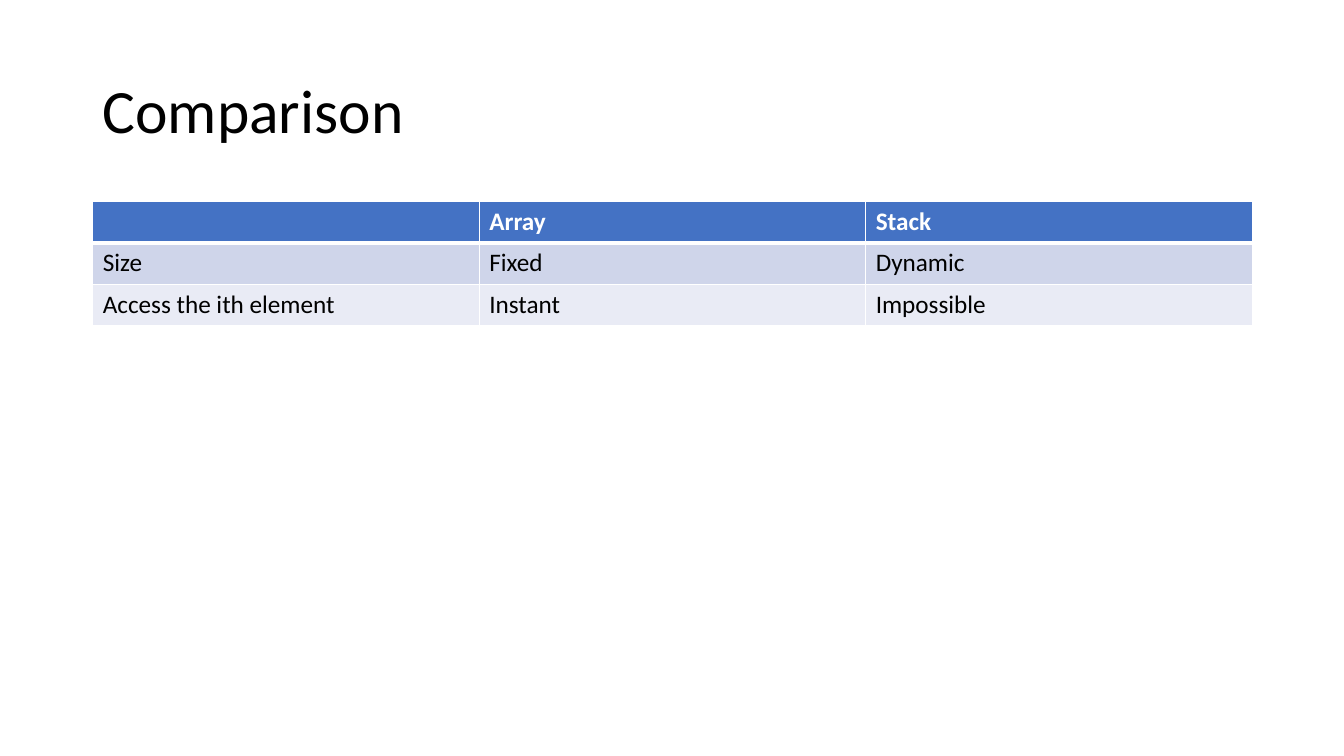
from lxml import etree
from pptx import Presentation
from pptx.dml.color import RGBColor
from pptx.enum import text
from pptx.oxml import ns
from pptx.util import Inches, Pt

BLACK = RGBColor(0x00, 0x00, 0x00)
WHITE = RGBColor(0xFF, 0xFF, 0xFF)
BLUE = RGBColor(0x44, 0x72, 0xC4)
BANDS = [RGBColor(0xCF, 0xD5, 0xEA), RGBColor(0xE9, 0xEB, 0xF5)]
FONT = "Calibri"
LEFT, WIDTH = 0.92, 11.5
ROW = 0.41
ROWS = [
    ["", "Array", "Stack"],
    ["Size", "Fixed", "Dynamic"],
    ["Access the ith element", "Instant", "Impossible"],
]


def style(par, size, color, bold=False):
    for run in par.runs:
        run.font.name = FONT
        run.font.size = Pt(size)
        run.font.bold = bold
        run.font.color.rgb = color


def add_title(slide, words):
    box = slide.shapes.add_textbox(
        Inches(LEFT), Inches(0.4), Inches(WIDTH), Inches(1.45))
    frame = box.text_frame
    frame.word_wrap = True
    frame.vertical_anchor = text.MSO_ANCHOR.MIDDLE
    frame.text = words
    par = frame.paragraphs[0]
    par.line_spacing = 0.9
    style(par, 44, BLACK)


def add_edge(cell, side, width):
    props = cell._tc.get_or_add_tcPr()
    line = etree.SubElement(props, ns.qn(f"a:ln{side}"), w=str(Pt(width)))
    fill = etree.SubElement(line, ns.qn("a:solidFill"))
    etree.SubElement(fill, ns.qn("a:srgbClr"), val=str(WHITE))


def fill_cell(cell, words, row):
    head = row == 0
    widths = {"L": 1, "R": 1, "T": 3 if row == 1 else 1, "B": 3 if head else 1}
    for side, width in widths.items():
        add_edge(cell, side, width)
    cell.fill.solid()
    cell.fill.fore_color.rgb = BLUE if head else BANDS[(row - 1) % 2]
    if words:
        cell.text_frame.text = words
        style(cell.text_frame.paragraphs[0], 18, WHITE if head else BLACK, head)


def add_grid(slide, rows):
    table = slide.shapes.add_table(
        len(rows), len(rows[0]), Inches(LEFT), Inches(2),
        Inches(WIDTH), Inches(ROW * len(rows))).table
    for i, row in enumerate(rows):
        for j, words in enumerate(row):
            fill_cell(table.cell(i, j), words, i)


def main():
    deck = Presentation()
    deck.slide_width = Inches(13.33)
    deck.slide_height = Inches(7.5)
    slide = deck.slides.add_slide(deck.slide_layouts[6])
    add_title(slide, "Comparison")
    add_grid(slide, ROWS)
    deck.save("out.pptx")


if __name__ == "__main__":
    main()
